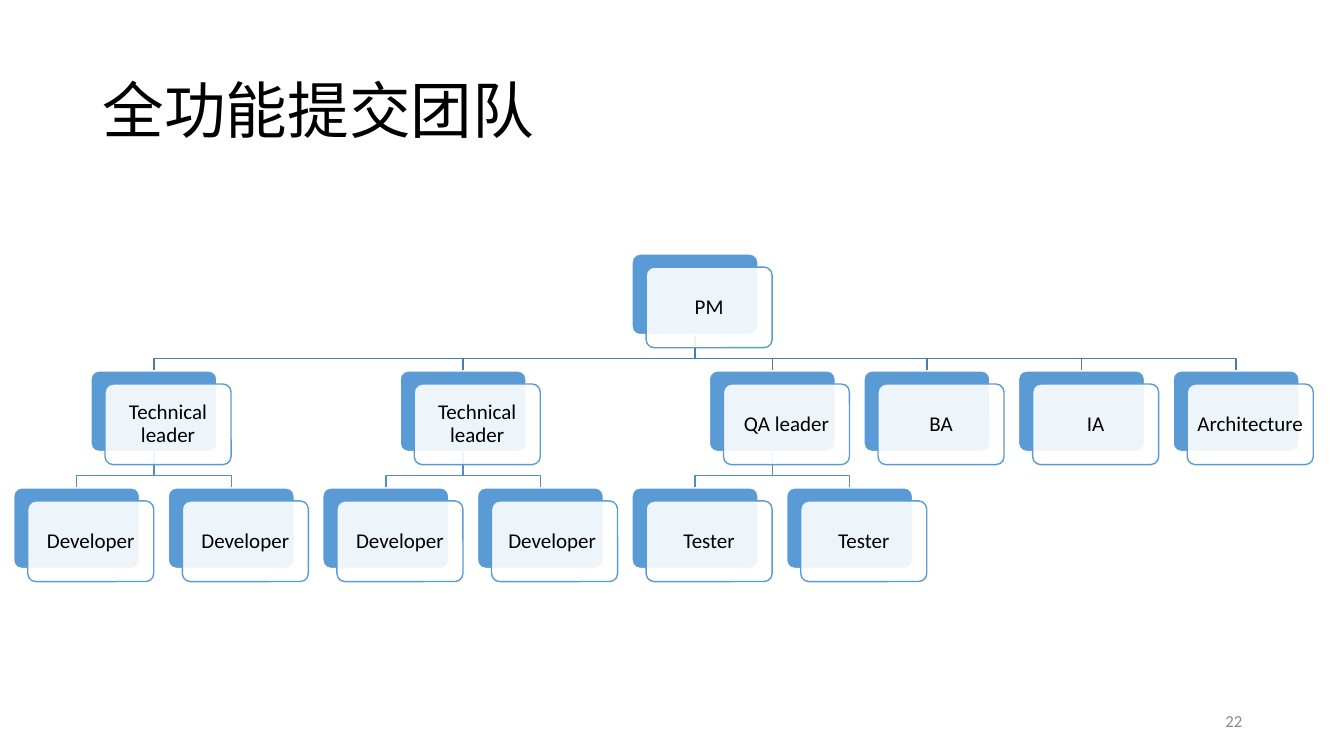
import pptx
import pptx.util
import pptx.dml.color
import pptx.enum.shapes
import pptx.enum.text
import pptx.oxml.ns
import lxml.etree

Inches = pptx.util.Inches
ALIGN = pptx.enum.text.PP_ALIGN

# Content: the manager, then each lead with their reports
TITLE = "全功能提交团队"
PAGE_NUMBER = "22"
MANAGER = "PM"
LEADS = [
    ("Technical leader", ["Developer", "Developer"]),
    ("Technical leader", ["Developer", "Developer "]),
    ("QA leader", ["Tester", "Tester"]),
    ("BA", []),
    ("IA", []),
    ("Architecture", []),
]

# Look and measures, in inches
FONT = "Calibri"
BLUE, WHITE, BLACK, GREY = "5B9BD5", "FFFFFF", "000000", "8C8C8C"
BRANCH_COLORS = ["497CAB", "538DC1"]
CARD_WIDTH, CARD_HEIGHT = 1.25, 0.8
FIRST_CENTER, LAST_CENTER, LAST_SLOT = 0.76, 12.26, 7.5
COLUMN_STEP = (LAST_CENTER - FIRST_CENTER) / LAST_SLOT
FIRST_TOP, LEVEL_STEP = 2.52, 1.16
FRONT_SHIFT_X, FRONT_SHIFT_Y = 0.14, 0.13
INSET_X, INSET_Y = 0.03, 0.08
ELBOW_GAP = 0.12


def color(hex_code):
    return pptx.dml.color.RGBColor.from_string(hex_code)


def write(shape, text, size, hex_code, align, spacing=None):
    frame = shape.text_frame
    frame.word_wrap = True
    frame.vertical_anchor = pptx.enum.text.MSO_ANCHOR.MIDDLE
    para = frame.paragraphs[0]
    para.text = text
    para.alignment = align
    para.line_spacing = spacing
    para.font.name = FONT
    para.font.size = pptx.util.Pt(size)
    para.font.color.rgb = color(hex_code)
    return frame


def add_text(page, place, *style):
    box = page.shapes.add_textbox(*map(Inches, place))
    write(box, *style)


def add_card(page, left, top, fill, line):
    card = page.shapes.add_shape(
        pptx.enum.shapes.MSO_SHAPE.ROUNDED_RECTANGLE,
        Inches(left), Inches(top), Inches(CARD_WIDTH), Inches(CARD_HEIGHT))
    card.adjustments[0] = 0.1
    card.shadow.inherit = False
    card.fill.solid()
    card.fill.fore_color.rgb = color(fill)
    card.line.color.rgb = color(line)
    card.line.width = pptx.util.Pt(1)
    return card


def center_of(slot):
    return FIRST_CENTER + slot * COLUMN_STEP


def top_of(level):
    return FIRST_TOP + level * LEVEL_STEP


def add_role(page, role, slot, level):
    left, top = center_of(slot) - CARD_WIDTH / 2, top_of(level)
    add_card(page, left, top, BLUE, WHITE)
    front = add_card(page, left + FRONT_SHIFT_X, top + FRONT_SHIFT_Y, WHITE, BLUE)
    # The front card lets the blue one show through
    tint = front.fill._xPr.find(".//" + pptx.oxml.ns.qn("a:srgbClr"))
    lxml.etree.SubElement(tint, pptx.oxml.ns.qn("a:alpha"), val="90000")
    frame = write(front, role, 15, BLACK, ALIGN.CENTER, 0.9)
    frame.margin_left = frame.margin_right = Inches(INSET_X)
    frame.margin_top = frame.margin_bottom = Inches(INSET_Y)


def add_branch(page, parent_slot, child_slot, level):
    start, end = center_of(parent_slot), center_of(child_slot)
    child_top = top_of(level + 1)
    elbow = child_top - ELBOW_GAP
    points = [(start, elbow), (end, elbow), (end, child_top)]
    builder = page.shapes.build_freeform(
        Inches(start), Inches(top_of(level) + CARD_HEIGHT))
    builder.add_line_segments([(Inches(x), Inches(y)) for x, y in points], close=False)
    branch = builder.convert_to_shape()
    branch.shadow.inherit = False
    branch.fill.background()
    branch.line.color.rgb = color(BRANCH_COLORS[level])
    branch.line.width = pptx.util.Pt(1)


# Place reports side by side, leads above their reports or one slot further on
roles, branches, lead_slots = [], [], []
next_report = 0
for lead, reports in LEADS:
    report_slots = list(range(next_report, next_report + len(reports)))
    next_report += len(reports)
    if reports:
        lead_slot = sum(report_slots) / len(reports)
    else:
        lead_slot = lead_slots[-1] + 1
    lead_slots.append(lead_slot)
    roles.append((lead, lead_slot, 1))
    for report, slot in zip(reports, report_slots):
        roles.append((report, slot, 2))
        branches.append((lead_slot, slot, 1))
manager_slot = (lead_slots[0] + lead_slots[-1]) / 2
roles.insert(0, (MANAGER, manager_slot, 0))
branches += [(manager_slot, slot, 0) for slot in lead_slots]

# Build the page
deck = pptx.Presentation()
deck.slide_width, deck.slide_height = Inches(13.33), Inches(7.5)
page = deck.slides.add_slide(deck.slide_layouts[6])

add_text(page, (0.92, 0.4, 11.5, 1.45), TITLE, 44, BLACK, ALIGN.LEFT, 0.9)
for branch in branches:
    add_branch(page, *branch)
for role in roles:
    add_role(page, *role)
add_text(page, (9.42, 6.95, 3, 0.4), PAGE_NUMBER, 12, GREY, ALIGN.RIGHT)

deck.save("out.pptx")
